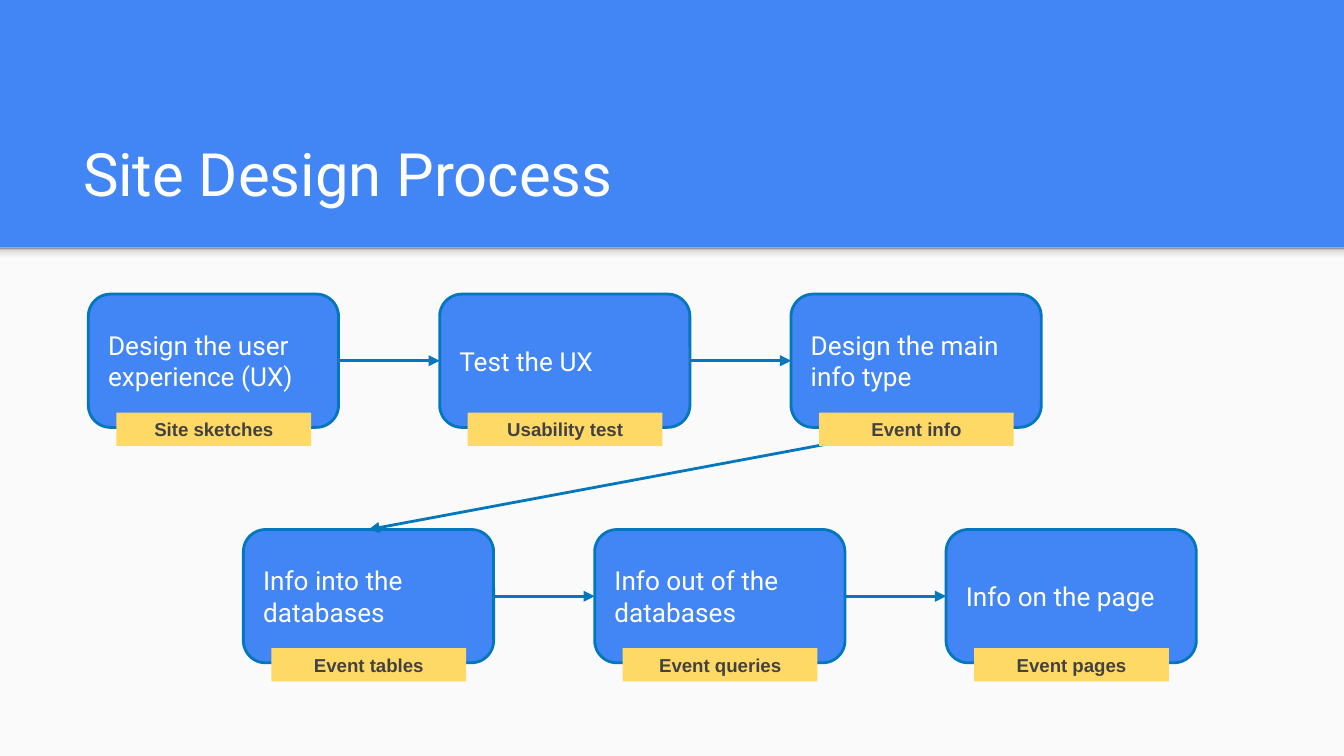
from copy import deepcopy
from itertools import pairwise
from lxml.etree import SubElement
from pptx import Presentation
from pptx.dml.color import RGBColor
from pptx.enum.shapes import MSO_CONNECTOR, MSO_SHAPE
from pptx.enum.text import MSO_ANCHOR, PP_ALIGN
from pptx.oxml.ns import qn
from pptx.util import Cm, Pt


def paint(color, value):
    color.rgb = RGBColor.from_string(value)


def label(shape, text, font, size, value, align=PP_ALIGN.LEFT, anchor=MSO_ANCHOR.MIDDLE):
    frame = shape.text_frame
    frame.text = text
    frame.word_wrap = True
    frame.vertical_anchor = anchor
    frame.margin_left = frame.margin_right = Cm(0.25)
    frame.margin_top = frame.margin_bottom = Cm(0.25)
    par = frame.paragraphs[0]
    par.alignment = align
    run = par.runs[0]
    run.font.name = font
    run.font.size = Pt(size)
    paint(run.font.color, value)
    return run


deck = Presentation()
deck.slide_width = Cm(25.4)
deck.slide_height = Cm(14.29)
slide = deck.slides.add_slide(deck.slide_layouts[6])
shapes = slide.shapes
back = slide.background.fill
back.solid()
paint(back.fore_color, "4285F4")

panel = shapes.add_shape(MSO_SHAPE.RECTANGLE, 0, Cm(4.68), Cm(25.4), Cm(9.61))
panel.shadow.inherit = False
panel.fill.solid()
paint(panel.fill.fore_color, "FAFAFA")
panel.line.fill.background()

shade = shapes.add_shape(MSO_SHAPE.RECTANGLE, 0, Cm(4.68), Cm(25.4), Cm(0.3))
shade.shadow.inherit = False
shade.line.fill.background()
shade.fill.gradient()
shade.fill.gradient_angle = 90
first = next(shade.fill._xPr.iter(qn("a:gs")))
for _ in range(2):
    first.addnext(deepcopy(first))
tones = [(0, "F9F9F9"), (0.36, "F9F9F9"), (0.8, "DEDEDE"), (1, "999999")]
for stop, (place, tone) in zip(shade.fill.gradient_stops, tones):
    stop.position = place
    paint(stop.color, tone)

title = shapes.add_textbox(Cm(1.32), Cm(2.06), Cm(22.83), Cm(2.13))
label(title, "Site Design Process", "Roboto", 32, "FFFFFF", anchor=MSO_ANCHOR.BOTTOM)

steps = [
    ("Design the user experience (UX)", "Site sketches"),
    ("Test the UX", "Usability test"),
    ("Design the main info type", "Event info"),
    ("Info into the databases", "Event tables"),
    ("Info out of the databases", "Event queries"),
    ("Info on the page", "Event pages"),
]
boxes = []
for i, (text, _) in enumerate(steps):
    row, col = divmod(i, 3)
    left = Cm(1.67 + 2.93 * row + 6.64 * col)
    top = Cm(5.56 + 4.45 * row)
    box = shapes.add_shape(MSO_SHAPE.ROUNDED_RECTANGLE, left, top, Cm(4.73), Cm(2.52))
    box.shadow.inherit = False
    box.fill.solid()
    paint(box.fill.fore_color, "4285F4")
    paint(box.line.color, "0277BD")
    box.line.width = Pt(1.5)
    label(box, text, "Roboto", 14, "FFFFFF")
    boxes.append(box)

for start, end in pairwise(boxes):
    same = start.top == end.top
    arrow = shapes.add_connector(MSO_CONNECTOR.STRAIGHT, 0, 0, 0, 0)
    arrow.begin_connect(start, 3 if same else 2)
    arrow.end_connect(end, 1 if same else 0)
    paint(arrow.line.color, "0277BD")
    arrow.line.width = Pt(1.5)
    SubElement(arrow.line._get_or_add_ln(), qn("a:tailEnd"), type="triangle", w="med", len="med")
    SubElement(arrow._element.spPr, qn("a:effectLst"))

for box, (_, text) in zip(boxes, steps):
    tag = shapes.add_shape(
        MSO_SHAPE.RECTANGLE, box.left + Cm(0.53), box.top + Cm(2.24), Cm(3.68), Cm(0.63)
    )
    tag.shadow.inherit = False
    tag.fill.solid()
    paint(tag.fill.fore_color, "FFD966")
    tag.line.fill.background()
    label(tag, text, "Arial", 10, "424242", PP_ALIGN.CENTER).font.bold = True

deck.save("out.pptx")
